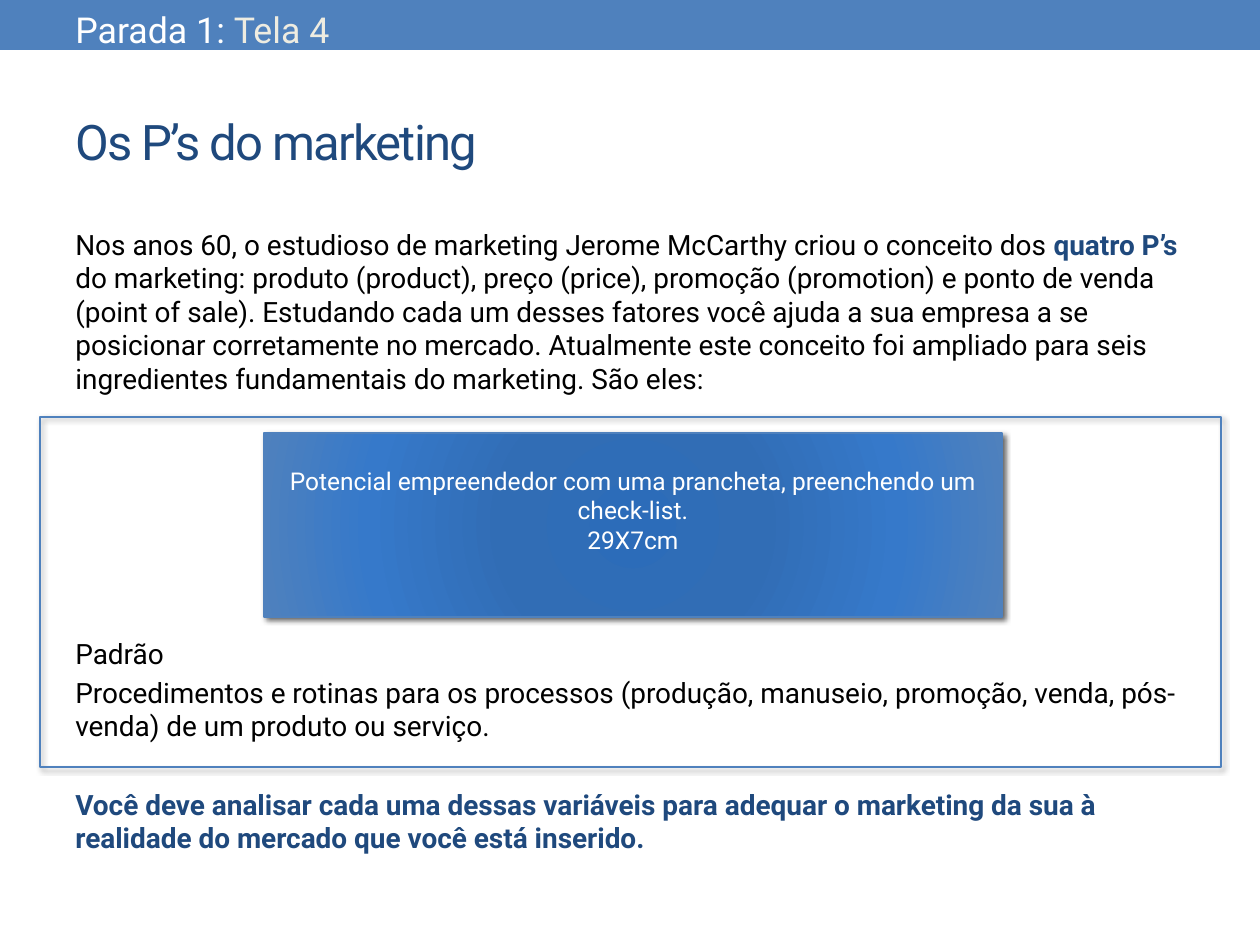
from dataclasses import dataclass

from lxml.etree import SubElement
from pptx import Presentation
from pptx.dml.color import RGBColor
from pptx.enum.shapes import MSO_SHAPE
from pptx.enum.text import MSO_ANCHOR, PP_ALIGN
from pptx.oxml import parse_xml
from pptx.oxml.ns import nsdecls, qn
from pptx.util import Emu, Pt

EMU_PER_PX = 914400 / 126
FONT = "Roboto"
COLORS = {
    "blue": "4F81BD",
    "navy": "1F497D",
    "black": "000000",
    "white": "FFFFFF",
    "cream": "EEECE1",
}
CARD_STOPS = [(0, "2C6CB9"), (34, "316DB5"), (70, "3679CA"), (100, COLORS["blue"])]


@dataclass(frozen=True)
class Box:
    x: int
    y: int
    w: int
    h: int


@dataclass(frozen=True)
class Run:
    text: str
    color: str = "black"
    bold: bool = False


@dataclass(frozen=True)
class TextBlock:
    box: Box
    paragraphs: list[list[Run]]
    size: float = 16
    anchor: MSO_ANCHOR = MSO_ANCHOR.TOP
    spacing: float = 0


BLOCKS = [
    TextBlock(Box(63, 73, 1134, 136), [[Run("Os P’s do marketing", "navy")]],
              size=28, anchor=MSO_ANCHOR.MIDDLE, spacing=-1),
    TextBlock(Box(63, 221, 1134, 184), [[
        Run("Nos anos 60, o estudioso de marketing Jerome McCarthy criou o conceito dos "),
        Run("quatro P’s ", "navy", True),
        Run("do marketing: produto (product), preço (price), promoção (promotion) "
            "e ponto de venda (point of sale). Estudando cada um desses fatores você "
            "ajuda a sua empresa a se posicionar corretamente no mercado. Atualmente "
            "este conceito foi ampliado para seis ingredientes fundamentais do "
            "marketing. São eles:"),
    ]]),
    TextBlock(Box(63, 630, 1134, 122), [
        [Run("Padrão")],
        [Run("Procedimentos e rotinas para os processos (produção, manuseio, promoção, "
             "venda, pós-venda) de um produto ou serviço.")],
    ]),
    TextBlock(Box(63, 781, 1134, 82), [[
        Run("Você deve analisar cada uma dessas variáveis para adequar o marketing da "
            "sua à realidade do mercado que você está inserido.", "navy", True),
    ]]),
    TextBlock(Box(63, 2, 1134, 48),
              [[Run("Parada 1: ", "white"), Run("Tela 4", "cream")]], size=20.4),
]


def px(n: int) -> Emu:
    return Emu(round(n * EMU_PER_PX))


def place(box: Box) -> tuple:
    return px(box.x), px(box.y), px(box.w), px(box.h)


def rgb(name: str) -> RGBColor:
    return RGBColor.from_string(COLORS[name])


def write_text(tf, paragraphs: list[list[Run]], *, size: float = 16,
               anchor=MSO_ANCHOR.TOP, align=PP_ALIGN.LEFT,
               space_before: float = 0, spacing: float = 0) -> None:
    tf.word_wrap = True
    tf.vertical_anchor = anchor
    for i, runs in enumerate(paragraphs):
        p = tf.add_paragraph() if i else tf.paragraphs[0]
        p.alignment = align
        p.space_before = Pt(space_before if i else 0)
        for run in runs:
            r = p.add_run()
            r.text = run.text
            r.font.name = FONT
            r.font.size = Pt(size)
            r.font.bold = run.bold
            r.font.color.rgb = rgb(run.color)
            if spacing:
                r.font._element.set("spc", str(round(spacing * 100)))


def add_rect(s, box: Box, *, fill: str | None = None, line: str | None = None):
    sp = s.shapes.add_shape(MSO_SHAPE.RECTANGLE, *place(box))
    sp.shadow.inherit = False
    if fill:
        sp.fill.solid()
        sp.fill.fore_color.rgb = rgb(fill)
    else:
        sp.fill.background()
    if line:
        sp.line.color.rgb = rgb(line)
        sp.line.width = Pt(0.75)
    else:
        sp.line.fill.background()
    return sp


def add_shadow(sp) -> None:
    effects = sp._element.spPr.find(qn("a:effectLst"))
    shadow = SubElement(effects, qn("a:outerShdw"), blurRad=str(Pt(3)),
                        dist=str(Pt(2)), dir=str(45 * 60000), rotWithShape="0")
    color = SubElement(shadow, qn("a:srgbClr"), val=COLORS["black"])
    SubElement(color, qn("a:alpha"), val="60000")


def set_radial_fill(sp, stops: list[tuple[int, str]]) -> None:
    gs = "".join(f'<a:gs pos="{pos * 1000}"><a:srgbClr val="{color}"/></a:gs>'
                 for pos, color in stops)
    grad = parse_xml(
        f'<a:gradFill {nsdecls("a")} rotWithShape="1"><a:gsLst>{gs}</a:gsLst>'
        '<a:path path="circle"><a:fillToRect l="100000" t="100000" r="100000" '
        'b="100000"/></a:path></a:gradFill>')
    spPr = sp._element.spPr
    spPr.replace(spPr.find(qn("a:noFill")), grad)


def add_text_block(s, block: TextBlock) -> None:
    tf = s.shapes.add_textbox(*place(block.box)).text_frame
    write_text(tf, block.paragraphs, size=block.size, anchor=block.anchor,
               space_before=block.size * 0.2, spacing=block.spacing)


def add_card(s, box: Box) -> None:
    sp = add_rect(s, box, line="blue")
    set_radial_fill(sp, CARD_STOPS)
    add_shadow(sp)
    tf = sp.text_frame
    tf.margin_bottom = px(36)
    write_text(tf, [
        [Run("Potencial empreendedor com uma prancheta, preenchendo um check-list.",
             "white")],
        [Run("29X7cm", "white")],
    ], size=14, anchor=MSO_ANCHOR.MIDDLE, align=PP_ALIGN.CENTER)


def main() -> None:
    prs = Presentation()
    prs.slide_width, prs.slide_height = px(1260), px(945)
    s = prs.slides.add_slide(prs.slide_layouts[6])
    add_rect(s, Box(0, 0, 1260, 50), fill="blue")
    for block in BLOCKS:
        add_text_block(s, block)
    add_card(s, Box(264, 433, 738, 184))
    add_shadow(add_rect(s, Box(40, 417, 1181, 350), line="blue"))
    prs.save("out.pptx")


if __name__ == "__main__":
    main()
